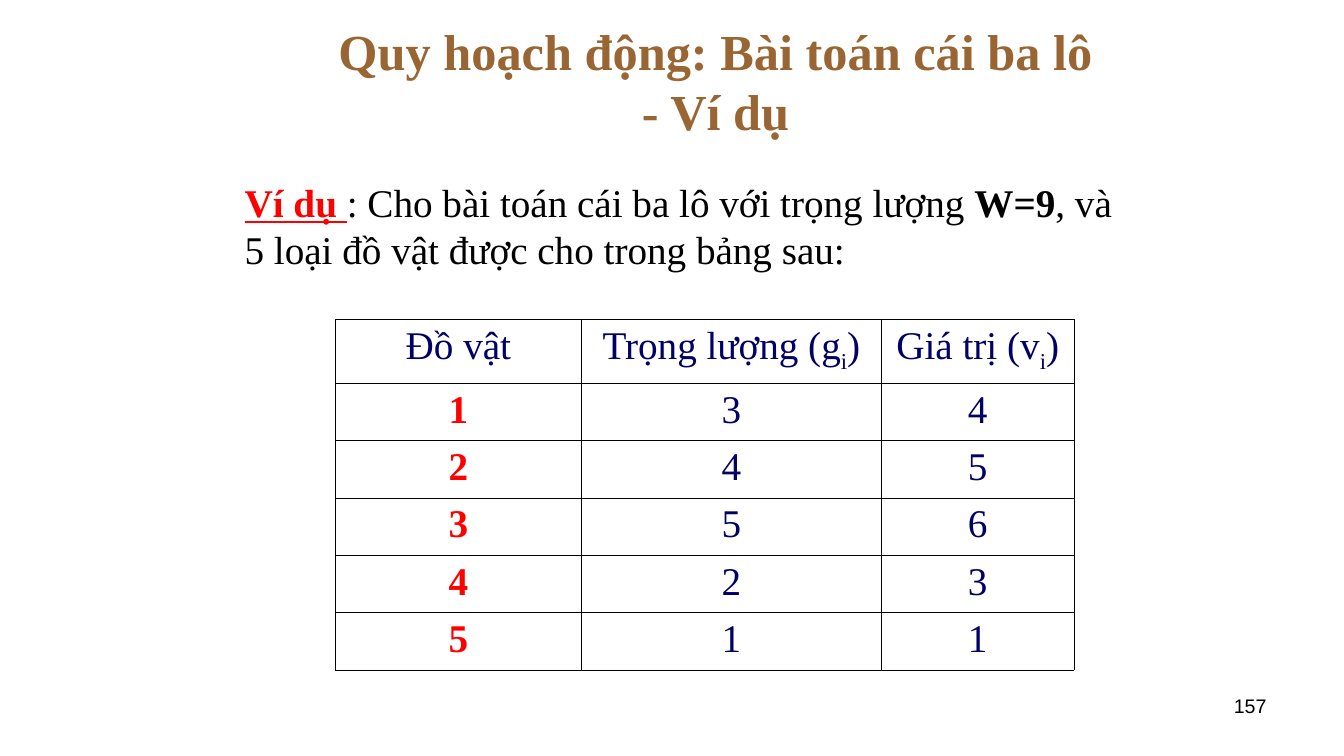
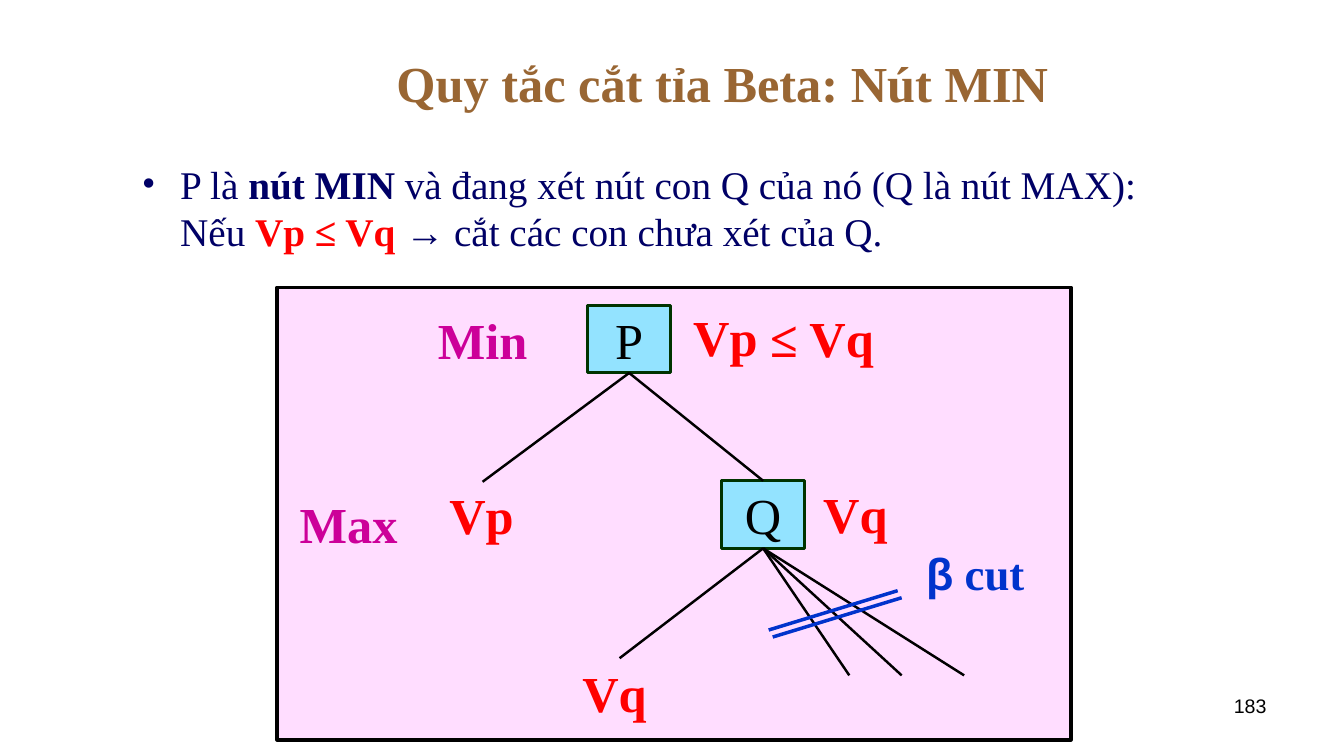
from lxml import etree
from pptx import Presentation
from pptx.dml.color import RGBColor
from pptx.enum.shapes import MSO_CONNECTOR, MSO_SHAPE
from pptx.enum.text import MSO_ANCHOR, MSO_AUTO_SIZE, PP_ALIGN
from pptx.oxml.ns import qn
from pptx.util import Inches, Pt

LEFT, CENTER, RIGHT = PP_ALIGN.LEFT, PP_ALIGN.CENTER, PP_ALIGN.RIGHT
TOP, MIDDLE = MSO_ANCHOR.TOP, MSO_ANCHOR.MIDDLE
RECT = MSO_SHAPE.RECTANGLE
STRAIGHT = MSO_CONNECTOR.STRAIGHT
NO_AUTOSIZE = MSO_AUTO_SIZE.NONE
BOTTOM_SIDE, TOP_SIDE = 2, 0

BROWN = RGBColor(0x99, 0x66, 0x33)
BLACK = RGBColor(0, 0, 0)
RED = RGBColor(0xFF, 0, 0)
NAVY = RGBColor(0, 0, 0x66)
MAGENTA = RGBColor(0xCC, 0, 0x99)
BLUE = RGBColor(0, 0x33, 0xCC)
PINK = RGBColor(0xFF, 0xDD, 0xFF)
CYAN = RGBColor(0x93, 0xE3, 0xFF)
GREEN = RGBColor(0, 0x33, 0)

SERIF, SANS = "Times New Roman", "Arial"
BOLD = {"bold": True}


def write(tf, runs, size, align=LEFT, anchor=TOP):
    """Fill the first paragraph with (text, colour, font settings) runs."""
    tf.word_wrap = True
    tf.auto_size = NO_AUTOSIZE
    tf.vertical_anchor = anchor
    p = tf.paragraphs[0]
    p.alignment = align
    for i, (text, color, style) in enumerate(runs):
        if text.startswith("\n"):
            p.add_line_break()
        r = p.add_run()
        r.text = text.strip("\n")
        r.font.size = Pt(size)
        r.font.color.rgb = color
        for name, value in {"name": SERIF, "bold": False, **style}.items():
            setattr(r.font, name, value)
    return p


def add_line(s, start, end, color=BLACK, width=1.75):
    line = s.shapes.add_connector(STRAIGHT, *map(Inches, start + end))
    line.line.color.rgb = color
    line.line.width = Pt(width)
    etree.SubElement(line._element.spPr, qn("a:effectLst"))
    return line


prs = Presentation()
prs.slide_width, prs.slide_height = Inches(13.34), Inches(7.5)

# Titles and slide numbers
pages = [
    ((3.04, 0.17, 8.25, 1.25),
     ["Quy hoạch động: Bài toán cái ba lô ", "\n- Ví dụ "], "157"),
    ((1.67, 0.3, 11, 1.03), ["Quy tắc cắt tỉa Beta: Nút MIN"], "183"),
]
for box, lines, number in pages:
    s = prs.slides.add_slide(prs.slide_layouts[5])
    title = s.shapes.title
    title.left, title.top, title.width, title.height = map(Inches, box)
    write(title.text_frame, [(t, BROWN, BOLD) for t in lines], 36, CENTER, MIDDLE)
    tb = s.shapes.add_textbox(Inches(9.56), Inches(6.83), Inches(3.11), Inches(0.52))
    write(tb.text_frame, [(number, BLACK, {"name": SANS})], 14, RIGHT)
knapsack, pruning = prs.slides

# Knapsack example
s = knapsack
tb = s.shapes.add_textbox(Inches(2.33), Inches(1.72), Inches(9), Inches(1.5))
write(tb.text_frame, [
    ("Ví dụ ", RED, {"bold": True, "underline": True}),
    (": Cho bài toán cái ba lô với trọng lượng ", BLACK, {}),
    ("W=9", BLACK, BOLD),
    (", và 5 loại đồ vật được cho trong bảng sau:", BLACK, {}),
], 28)

headers = [["Đồ vật"], ["Trọng lượng (g", "i", ")"], ["Giá trị (v", "i", ")"]]
items = [(1, 3, 4), (2, 4, 5), (3, 5, 6), (4, 2, 3), (5, 1, 1)]
rows = [headers] + [[[str(v)] for v in item] for item in items]
table = s.shapes.add_table(len(rows), len(headers), Inches(3.33), Inches(3.17),
                           Inches(7.33), Inches(3.48)).table
table.first_row = table.horz_banding = False
for col, width in zip(table.columns, (2.44, 2.98, 1.91)):
    col.width = Inches(width)
for i, row in enumerate(rows):
    table.rows[i].height = Inches(0.57 if i else 0.63)
    for j, parts in enumerate(row):
        cell = table.cell(i, j)
        is_item = i > 0 and j == 0
        p = cell.text_frame.paragraphs[0]
        p.alignment = CENTER
        for part in parts:
            r = p.add_run()
            r.text = part
            r.font.name, r.font.size, r.font.bold = SERIF, Pt(28), is_item
            r.font.color.rgb = RED if is_item else NAVY
            if part == "i":
                r._r.get_or_add_rPr().set("baseline", "-25000")
        tcPr = cell._tc.get_or_add_tcPr()
        for side in ("a:lnL", "a:lnR", "a:lnT", "a:lnB"):
            ln = etree.SubElement(tcPr, qn(side), w=str(Pt(0.45)))
            fill = etree.SubElement(ln, qn("a:solidFill"))
            etree.SubElement(fill, qn("a:srgbClr"), val=str(BLACK))
        cell.fill.background()

# Beta pruning rule
s = pruning
tb = s.shapes.add_textbox(Inches(1.31), Inches(1.54), Inches(10.71), Inches(1.17))
p = write(tb.text_frame, [
    ("P là ", NAVY, {}),
    ("nút MIN ", NAVY, BOLD),
    ("và đang xét nút con Q của nó (Q là nút MAX): Nếu ", NAVY, {}),
    ("Vp ≤ Vq ", RED, BOLD),
    ("→", NAVY, {"name": SANS}),
    (" cắt các con chưa xét của Q.", NAVY, {}),
], 28)
pPr = p._p.get_or_add_pPr()
pPr.set("marL", str(Inches(0.38)))
pPr.set("indent", str(-Inches(0.38)))
bullet_color = etree.SubElement(pPr, qn("a:buClr"))
etree.SubElement(bullet_color, qn("a:srgbClr"), val=str(NAVY))
etree.SubElement(pPr, qn("a:buFont"), typeface=SERIF)
etree.SubElement(pPr, qn("a:buChar"), char="•")

# Panel and tree nodes
nodes = {}
for name, box, fill, edge, width in [
    ("", (2.75, 2.85, 7.88, 4.49), PINK, BLACK, 2.5),
    ("P", (5.83, 3.03, 0.83, 0.67), CYAN, GREEN, 2),
    ("Q", (7.16, 4.77, 0.83, 0.67), CYAN, GREEN, 2),
]:
    sp = s.shapes.add_shape(RECT, *map(Inches, box))
    sp.shadow.inherit = False
    sp.fill.solid()
    sp.fill.fore_color.rgb = fill
    sp.line.color.rgb = edge
    sp.line.width = Pt(width)
    if name:
        write(sp.text_frame, [(name, BLACK, {})], 36, CENTER, MIDDLE)
        nodes[name] = sp

# Branches: parent node, parent's bottom middle, end
p_bottom, q_top, q_bottom = (6.25, 3.7), (7.58, 4.77), (7.58, 5.44)
for name, start, end in [
    ("P", p_bottom, (4.79, 4.78)),
    ("P", p_bottom, q_top),
    ("Q", q_bottom, (6.15, 6.53)),
    ("Q", q_bottom, (8.43, 6.7)),
    ("Q", q_bottom, (8.95, 6.7)),
    ("Q", q_bottom, (9.57, 6.7)),
]:
    branch = add_line(s, start, end)
    branch.begin_connect(nodes[name], BOTTOM_SIDE)
    if end == q_top:
        branch.end_connect(nodes["Q"], TOP_SIDE)

# Cut marks
for shift in (0, 0.04):
    add_line(s, (7.63 + shift, 6.25 + 1.75 * shift),
             (8.91 + shift, 5.86 + 1.75 * shift), BLUE, 2.5)

# Labels
for text, color, box in [
    ("Min", MAGENTA, (3.83, 3.12, 1.92, 0.5)),
    ("Max", MAGENTA, (2.5, 4.94, 1.92, 0.5)),
    ("Vp", RED, (4.33, 4.77, 0.9, 0.67)),
    ("Vp", RED, (6.75, 3, 0.9, 0.67)),
    ("≤ Vq", RED, (7.28, 3.01, 1.76, 0.67)),
    ("Vq", RED, (8.02, 4.76, 0.94, 0.67)),
    ("Vq", RED, (5.63, 6.53, 0.94, 0.67)),
]:
    tb = s.shapes.add_textbox(*map(Inches, box))
    write(tb.text_frame, [(text, color, BOLD)], 36, CENTER, MIDDLE)

tb = s.shapes.add_textbox(Inches(8.72), Inches(5.43), Inches(1.92), Inches(0.5))
write(tb.text_frame, [("β", BLUE, {"name": SANS, "bold": True}),
                      (" cut", BLUE, BOLD)], 32, CENTER, MIDDLE)

prs.save("out.pptx")
